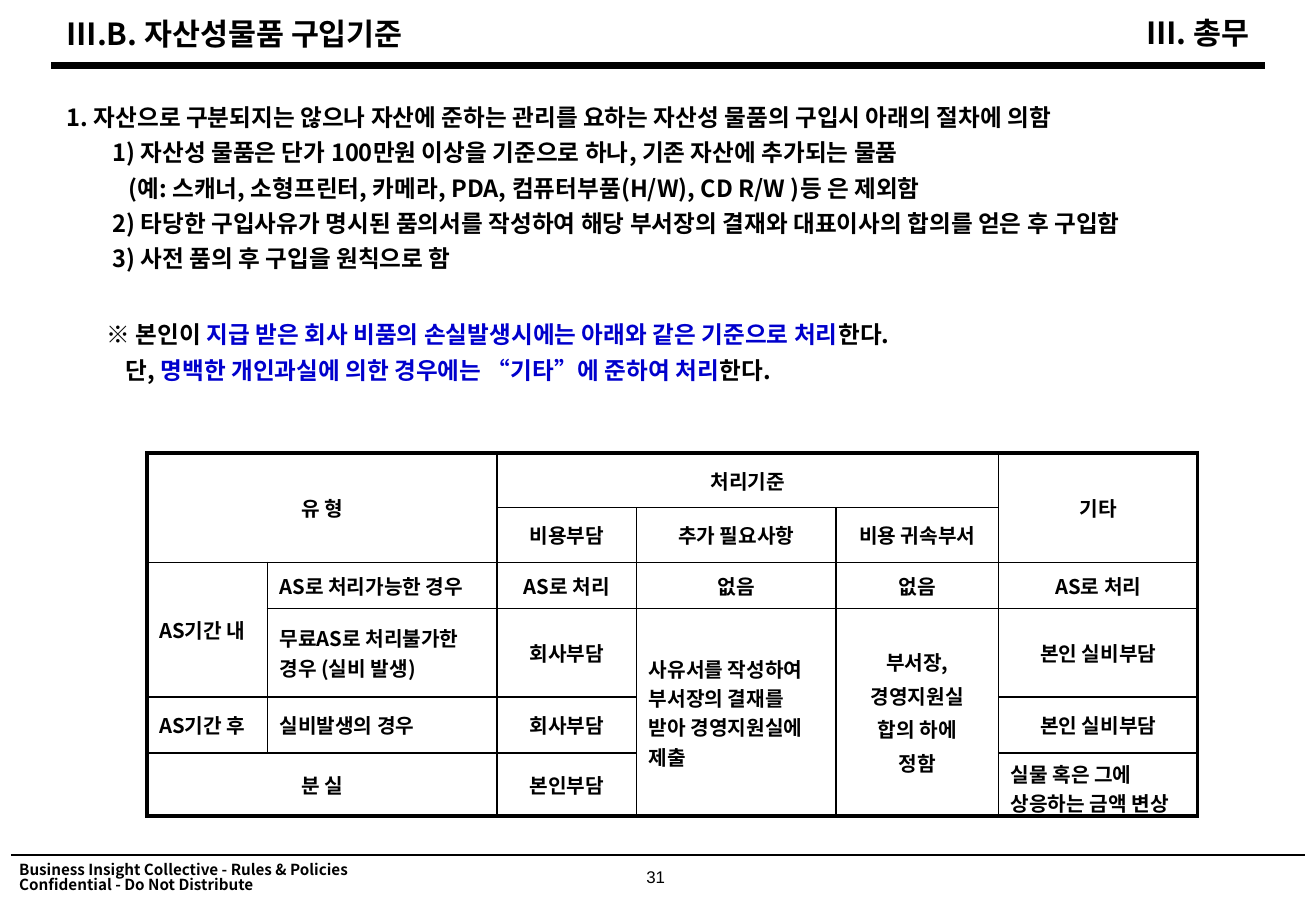
from lxml import etree
from pptx import Presentation
from pptx import util as u
from pptx.dml.color import RGBColor
from pptx.enum import shapes, text
from pptx.oxml.ns import qn

BLACK = RGBColor(0x00, 0x00, 0x00)
WHITE = RGBColor(0xFF, 0xFF, 0xFF)
BLUE = RGBColor(0x00, 0x00, 0xCC)
KOREAN = "Noto Sans CJK KR"
LEFT, CENTER, RIGHT = text.PP_ALIGN.LEFT, text.PP_ALIGN.CENTER, text.PP_ALIGN.RIGHT
TIGHT = 0.82
THIN, THICK = 1, 2.25

BODY = [
    (0, 0, [("1. 자산으로 구분되지는 않으나 자산에 준하는 관리를 요하는 자산성 물품의 구입시 아래의 절차에 의함", BLACK)]),
    (27, 7.1, [("1) 자산성 물품은 단가 100만원 이상을 기준으로 하나, 기존 자산에 추가되는 물품", BLACK)]),
    (36.7, 7.1, [("(예: 스캐너, 소형프린터, 카메라, PDA, 컴퓨터부품(H/W), CD R/W )등 은 제외함", BLACK)]),
    (27, 7.1, [("2) 타당한 구입사유가 명시된 품의서를 작성하여 해당 부서장의 결재와 대표이사의 합의를 얻은 후 구입함", BLACK)]),
    (27, 7.1, [("3) 사전 품의 후 구입을 원칙으로 함", BLACK)]),
    (23.8, 31.6, [("※ 본인이 ", BLACK),
                  ("지급 받은 회사 비품의 손실발생시에는 아래와 같은 기준으로 처리", BLUE),
                  ("한다.", BLACK)]),
    (35, 7.1, [("단, ", BLACK),
               ("명백한 개인과실에 의한 경우에는 “기타”에 준하여 처리", BLUE),
               ("한다.", BLACK)]),
]

COLUMNS = [9.14, 17.45, 10.62, 15.14, 12.37, 15.14]
ROWS = [6, 6, 5.07, 9.73, 6.13, 6.93]
CELLS = [
    (0, 0, 2, 2, CENTER, ["유 형"]),
    (0, 2, 1, 3, CENTER, ["처리기준"]),
    (0, 5, 2, 1, CENTER, ["기타"]),
    (1, 2, 1, 1, CENTER, ["비용부담"]),
    (1, 3, 1, 1, CENTER, ["추가 필요사항"]),
    (1, 4, 1, 1, CENTER, ["비용 귀속부서"]),
    (2, 0, 2, 1, LEFT, ["AS기간 내"]),
    (2, 1, 1, 1, LEFT, ["AS로 처리가능한 경우"]),
    (2, 2, 1, 1, CENTER, ["AS로 처리"]),
    (2, 3, 1, 1, CENTER, ["없음"]),
    (2, 4, 1, 1, CENTER, ["없음"]),
    (2, 5, 1, 1, CENTER, ["AS로 처리"]),
    (3, 1, 1, 1, LEFT, ["무료AS로 처리불가한 경우 (실비 발생)"]),
    (3, 2, 1, 1, CENTER, ["회사부담"]),
    (3, 3, 3, 1, LEFT, ["사유서를 작성하여 부서장의 결재를 받아 경영지원실에 제출"]),
    (3, 4, 3, 1, CENTER, ["부서장,", "경영지원실", "합의 하에", "정함"]),
    (3, 5, 1, 1, CENTER, ["본인 실비부담"]),
    (4, 0, 1, 1, LEFT, ["AS기간 후"]),
    (4, 1, 1, 1, LEFT, ["실비발생의 경우"]),
    (4, 2, 1, 1, CENTER, ["회사부담"]),
    (4, 5, 1, 1, CENTER, ["본인 실비부담"]),
    (5, 0, 1, 2, CENTER, ["분 실"]),
    (5, 2, 1, 1, CENTER, ["본인부담"]),
    (5, 5, 1, 1, LEFT, ["실물 혹은 그에 상응하는 금액 변상"]),
]


def apply(target, values):
    """Set every attribute listed in a dict of format values."""
    for name, value in values.items():
        setattr(target, name, value)


class PolicySlide:
    """Draws styled elements on one slide, with lengths in percent of its size."""

    def __init__(self, presentation):
        """Add a blank slide to the presentation."""
        self.presentation = presentation
        self.slide = presentation.slides.add_slide(presentation.slide_layouts[6])

    def x(self, share):
        """Turn a share of the width into a length."""
        return u.Emu(round(self.presentation.slide_width * share / 100))

    def y(self, share):
        """Turn a share of the height into a length."""
        return u.Emu(round(self.presentation.slide_height * share / 100))

    def rule(self, left, right, top, width):
        """Draw a horizontal line."""
        line = self.slide.shapes.add_connector(
            shapes.MSO_CONNECTOR.STRAIGHT, self.x(left), self.y(top), self.x(right), self.y(top))
        line.line.color.rgb = BLACK
        line.line.width = u.Pt(width)
        etree.SubElement(line._element.spPr, qn("a:effectLst"))

    def fill_text(self, frame, paragraphs, size, align=LEFT, spacing=TIGHT, font=KOREAN, bold=True):
        """Fill a text frame with (indent, space before, runs) paragraphs."""
        for index, (indent, before, runs) in enumerate(paragraphs):
            paragraph = frame.paragraphs[0] if index == 0 else frame.add_paragraph()
            apply(paragraph, {"alignment": align, "line_spacing": spacing, "space_before": u.Pt(before)})
            paragraph._p.get_or_add_pPr().set("marL", str(int(u.Pt(indent))))
            for words, color in runs:
                run = paragraph.add_run()
                run.text = words
                apply(run.font, {"name": font, "size": u.Pt(size), "bold": bold})
                run.font.color.rgb = color
                east_asian = etree.SubElement(run._r.get_or_add_rPr(), qn("a:ea"))
                east_asian.set("typeface", font)

    def textbox(self, left, top, width, height, paragraphs, size, wrap=True, **style):
        """Add a text box."""
        box = self.slide.shapes.add_textbox(self.x(left), self.y(top), self.x(width), self.y(height))
        box.text_frame.word_wrap = wrap
        self.fill_text(box.text_frame, paragraphs, size, **style)

    def border(self, cell, sides):
        """Give a cell its borders from a dict of side and width."""
        properties = cell._tc.get_or_add_tcPr()
        for index, (side, width) in enumerate(sides.items()):
            line = etree.Element(qn(f"a:ln{side}"), w=str(int(u.Pt(width))))
            if width:
                fill = etree.SubElement(line, qn("a:solidFill"))
                etree.SubElement(fill, qn("a:srgbClr"), val=str(BLACK))
            else:
                etree.SubElement(line, qn("a:noFill"))
            properties.insert(index, line)

    def table(self, left, top, columns, rows, cells):
        """Add a table with thin inner and thick outer borders."""
        table = self.slide.shapes.add_table(
            len(rows), len(columns), self.x(left), self.y(top),
            self.x(sum(columns)), self.y(sum(rows))).table
        apply(table, {"first_row": False, "horz_banding": False})
        for column, share in zip(table.columns, columns):
            column.width = self.x(share)
        for row, share in zip(table.rows, rows):
            row.height = self.y(share)
        for first_row, first_column, row_span, column_span, align, lines in cells:
            end_row, end_column = first_row + row_span, first_column + column_span
            origin = table.cell(first_row, first_column)
            if row_span * column_span > 1:
                origin.merge(table.cell(end_row - 1, end_column - 1))
            edges = {"L": THICK if first_column == 0 else THIN,
                     "R": THICK if end_column == len(columns) else THIN,
                     "T": THICK if first_row == 0 else THIN,
                     "B": THICK if end_row == len(rows) else THIN}
            for row in range(first_row, end_row):
                for column in range(first_column, end_column):
                    cell = table.cell(row, column)
                    outside = {"L": column == first_column, "R": column == end_column - 1,
                               "T": row == first_row, "B": row == end_row - 1}
                    cell.fill.solid()
                    cell.fill.fore_color.rgb = WHITE
                    self.border(cell, edges if cell.is_merge_origin else
                                {side: edges[side] * outside[side] for side in edges})
            apply(origin, {"vertical_anchor": text.MSO_ANCHOR.MIDDLE,
                           "margin_bottom": 0 if first_row == len(rows) - 1 and align == LEFT else u.Inches(0.05)})
            paragraphs = [(0, 2.6 if index else 0, [(line, BLACK)]) for index, line in enumerate(lines)]
            self.fill_text(origin.text_frame, paragraphs, 12, align, spacing=1.0)


def plain(*lines):
    """Make black paragraphs without indent or space."""
    return [(0, 0, [(line, BLACK)]) for line in lines]


def main():
    """Build the purchasing policy slide."""
    presentation = Presentation()
    apply(presentation, {"slide_width": u.Inches(10.83), "slide_height": u.Inches(7.5)})
    page = PolicySlide(presentation)
    page.rule(0.83, 99.17, 93.87, 1)
    page.rule(3.88, 96.12, 7.2, 4)
    page.textbox(48.11, 94.67, 3.42, 4.93, plain("31"), 10, wrap=False,
                 align=CENTER, spacing=0.9, font="Arial", bold=False)
    page.textbox(0.55, 94.13, 27.98, 5.33,
                 plain("Business Insight Collective - Rules & Policies",
                       "Confidential - Do Not Distribute"), 9, wrap=False)
    page.textbox(4.16, 11.2, 92.24, 37, BODY, 14)
    page.table(11.17, 49.73, COLUMNS, ROWS, CELLS)
    page.textbox(4.16, 1.73, 59.65, 5.33, plain("Ⅲ.B. 자산성물품 구입기준"), 18)
    page.textbox(74.05, 1.6, 21.79, 5.33, plain("Ⅲ. 총무"), 18, align=RIGHT)
    presentation.save("out.pptx")


if __name__ == "__main__":
    main()
